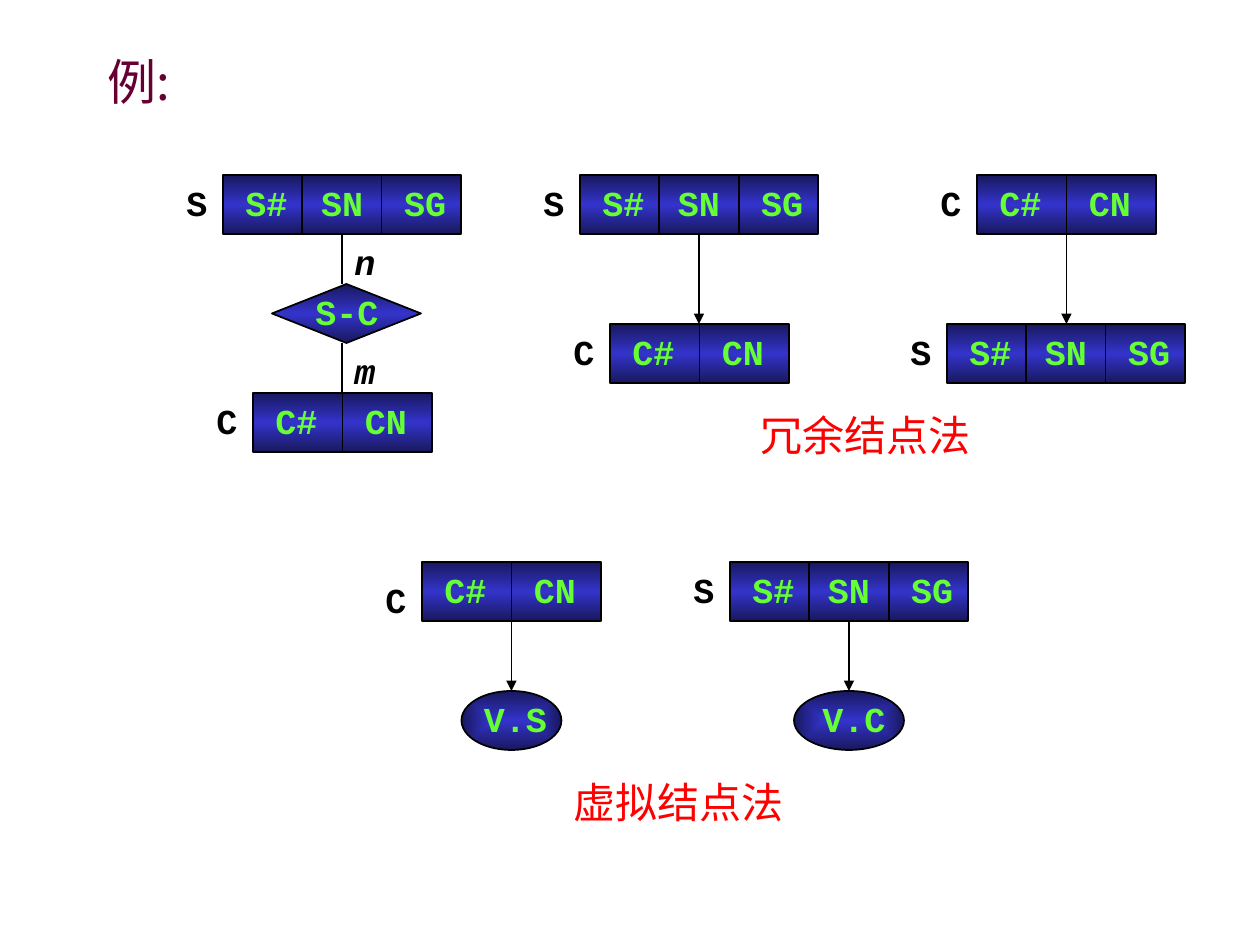
import pptx
import pptx.util
import pptx.dml.color
import pptx.enum.shapes
import pptx.enum.text
import pptx.oxml.ns
from lxml import etree

PX = 914400 // 126
ROW = 59          # height of every node
TEXT = 56         # height of a line of text
TAG = 49          # width of a one-letter label
PAD = 10          # inset of a field name in its cell
MONO, HAN = "Courier New", "Noto Sans CJK SC"
INK = {"title": "660033", "field": "66FF33", "note": "FF0000",
       "line": "000000", "dark": "18185E", "blue": "3333CC"}
FIELDS = {"S": (["S#", "SN", "SG"], 238), "C": (["C#", "CN"], 179)}
KIND = pptx.enum.shapes.MSO_SHAPE
MID = pptx.enum.text.PP_ALIGN.CENTER
LEFT = pptx.enum.text.PP_ALIGN.LEFT
qn = pptx.oxml.ns.qn


def emu(*nums):
    return [round(n * PX) for n in nums]


def rgb(name):
    return pptx.dml.color.RGBColor.from_string(INK[name])


def write(shape, words, color, size=20, face=MONO, bold=True, slant=False, align=LEFT):
    frame = shape.text_frame
    frame.word_wrap = True
    frame.auto_size = pptx.enum.text.MSO_AUTO_SIZE.NONE
    frame.vertical_anchor = pptx.enum.text.MSO_ANCHOR.TOP
    para = frame.paragraphs[0]
    para.alignment = align
    run = para.add_run()
    run.text = words
    font = run.font
    font.name, font.size = face, pptx.util.Pt(size)
    font.bold, font.italic = bold, slant
    font.color.rgb = rgb(color)
    etree.SubElement(run.font._element, qn("a:ea"), typeface=HAN)


def label(parts, x, y, w, words, color="line", high=TEXT, **style):
    write(parts.add_textbox(*emu(x, y, w, high)), words, color, **style)


def note(parts, x, y, words):
    label(parts, x, y, 238, words, "note", high=63, size=24, bold=False)


def shade(shape, stops, radial):
    """Give the shape a gradient, banded top to bottom or from its centre."""
    shape.fill.gradient()
    grad = shape.element.spPr.find(qn("a:gradFill"))
    for child in list(grad):
        grad.remove(child)
    row = etree.SubElement(grad, qn("a:gsLst"))
    for pos, name in stops:
        stop = etree.SubElement(row, qn("a:gs"), pos=str(pos * 1000))
        etree.SubElement(stop, qn("a:srgbClr"), val=INK[name])
    if radial:
        way = etree.SubElement(grad, qn("a:path"), {"path": "rect"})
        etree.SubElement(way, qn("a:fillToRect"), {s: "50000" for s in "ltrb"})
    else:
        etree.SubElement(grad, qn("a:lin"), ang="5400000", scaled="1")


def node(parts, kind, x, y, w):
    shape = parts.add_shape(kind, *emu(x, y, w, ROW))
    shape.shadow.inherit = False
    if kind == KIND.OVAL:
        shade(shape, [(0, "blue"), (100, "dark")], True)
    else:
        shade(shape, [(0, "dark"), (50, "blue"), (100, "dark")], False)
    shape.line.color.rgb = rgb("line")
    shape.line.width = pptx.util.Pt(1)


def link(parts, x, top, end, arrow=False):
    line = parts.add_connector(pptx.enum.shapes.MSO_CONNECTOR.STRAIGHT, *emu(x, top, x, end))
    line.line.color.rgb = rgb("line")
    line.line.width = pptx.util.Pt(1)
    prop = line.element.spPr
    if arrow:
        etree.SubElement(prop.find(qn("a:ln")), qn("a:tailEnd"), type="triangle")
    etree.SubElement(prop, qn("a:effectLst"))


def record(parts, name, x, y, drop=0):
    """Draw a record with its label; return the x of its centre."""
    fields, w = FIELDS[name]
    cell = w / len(fields)
    node(parts, KIND.RECTANGLE, x, y, w)
    for i, field in enumerate(fields):
        left = x + i * cell
        if i:
            link(parts, left, y, y + ROW)
        if field == "SN":
            label(parts, left, y, cell, field, "field", align=MID)
        else:
            label(parts, left + PAD, y, 69, field, "field")
    label(parts, x - TAG, y + drop, TAG, name)
    return x + w / 2


def title(slide, x, y):
    head = slide.shapes.title
    head.left, head.top, head.width, head.height = emu(x, y, 120, 131)
    write(head, "例:", "title", size=28, face=HAN, bold=False)


def relation(parts, x, y):
    """Many-to-many link between S and C."""
    mid = record(parts, "S", x, y)
    low = y + 218
    record(parts, "C", x + 30, low)
    gem = y + 109
    node(parts, KIND.DIAMOND, x + 49, gem, 149)
    label(parts, x + 69, gem, 110, "S-C", "field", align=MID)
    for top, end, many in ((y + ROW, gem, "n"), (gem + ROW, low, "m")):
        link(parts, mid, top, end)
        label(parts, mid, top, TAG, many, slant=True)


def redundant(parts, x, y):
    """Two trees, each repeating the other's record."""
    low = y + 149
    for root, left, leaf, shift in (("S", x, "C", 30), ("C", x + 397, "S", -30)):
        mid = record(parts, root, left, y)
        record(parts, leaf, left + shift, low)
        link(parts, mid, y + ROW, low, arrow=True)
    note(parts, x + 168, y + 228, "冗余结点法")


def virtual(parts, x, y):
    """Two trees, each pointing to a virtual record."""
    low = y + 129
    for root, left, drop, leaf, w, align in (("C", x, PAD, "V.S", 100, LEFT),
                                             ("S", x + 308, 0, "V.C", 110, MID)):
        mid = record(parts, root, left, y, drop)
        link(parts, mid, y + ROW, low, arrow=True)
        node(parts, KIND.OVAL, mid - w / 2, low, w)
        label(parts, mid - w / 2 + PAD, low, w - PAD, leaf, "field", align=align)
    note(parts, x + 139, y + 208, "虚拟结点法")


def main():
    deck = pptx.Presentation()
    deck.slide_width, deck.slide_height = emu(1260, 945)
    slide = deck.slides.add_slide(deck.slide_layouts[5])
    title(slide, 95, 45)
    for draw, x, y in ((relation, 223, 175), (redundant, 580, 175), (virtual, 422, 562)):
        draw(slide.shapes.add_group_shape().shapes, x, y)
    deck.save("out.pptx")


if __name__ == "__main__":
    main()
